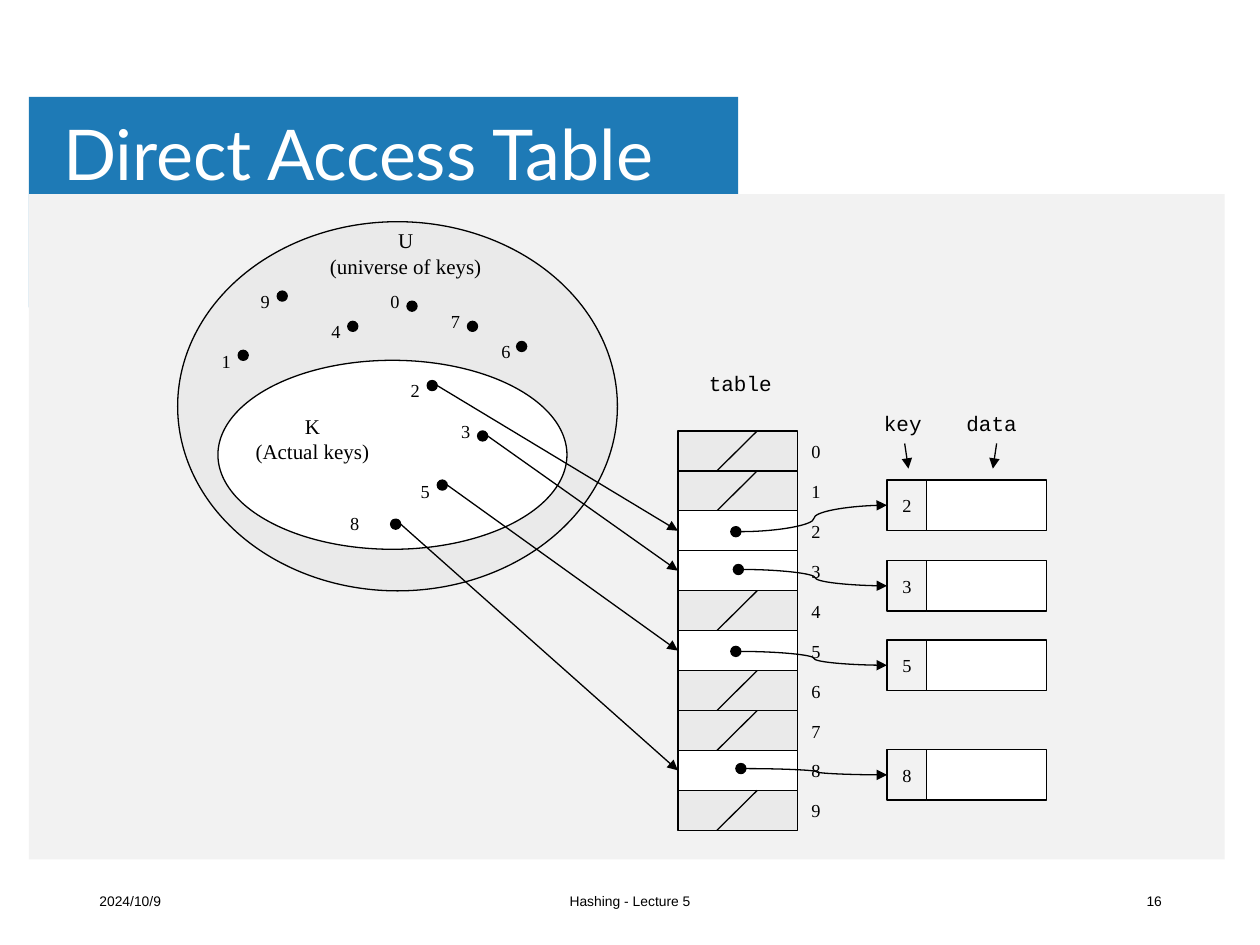
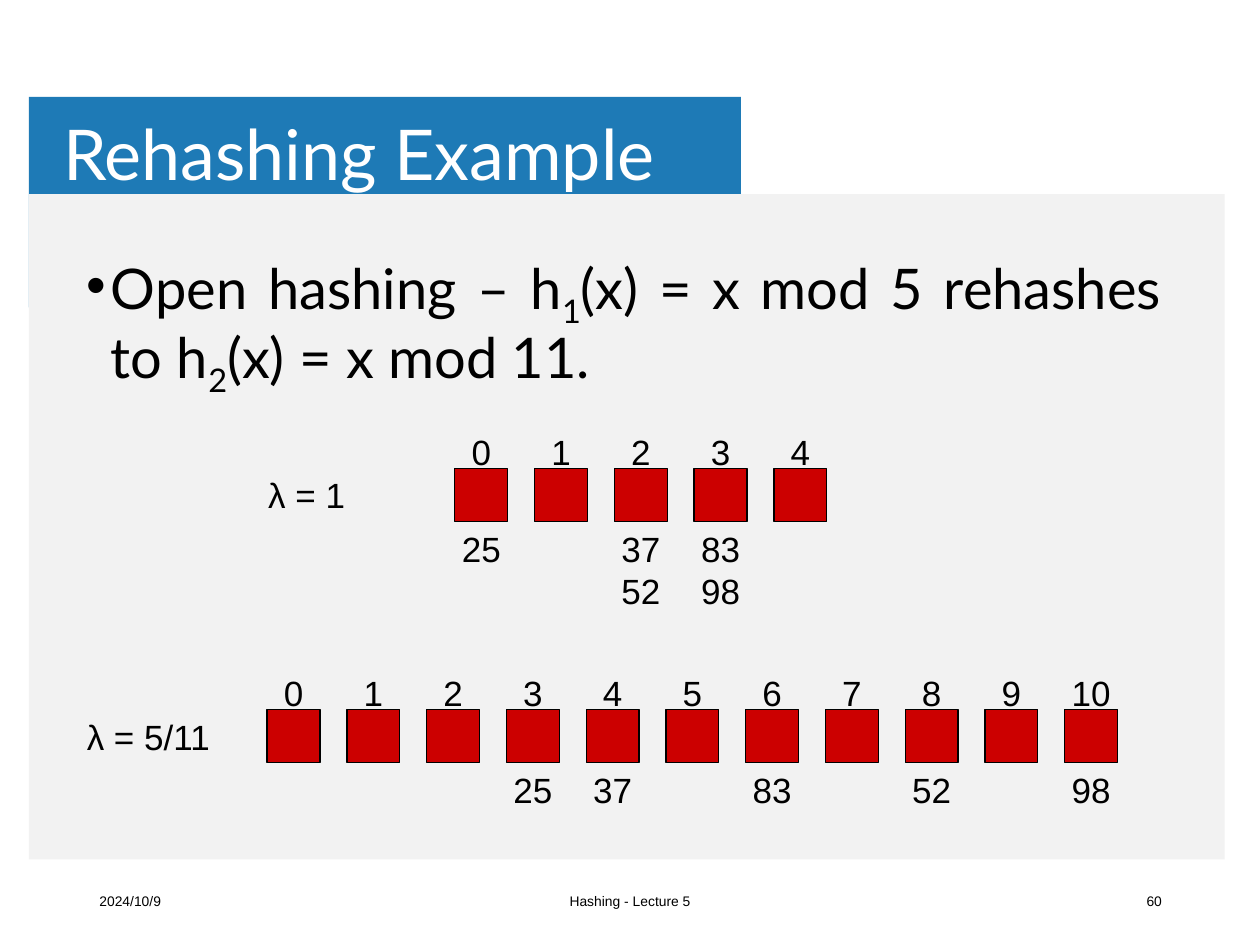
import pptx
import pptx.util
import pptx.dml.color
import pptx.enum.shapes
import pptx.enum.text
import pptx.oxml
import pptx.oxml.ns

SHAPE = pptx.enum.shapes.MSO_SHAPE
CXN = pptx.enum.shapes.MSO_CONNECTOR
ALIGN = pptx.enum.text.PP_ALIGN
ANCHOR = pptx.enum.text.MSO_ANCHOR
COLS, ROWS = 100, 75
COLORS = {"band": "1E7AB6", "panel": "F2F2F2", "ink": "000000",
          "white": "FFFFFF", "gray": "EAEAEA", "red": "CC0000"}
FONTS = {
    "title": {"name": "Lato", "size": pptx.util.Pt(40), "bold": False},
    "body": {"name": "Lato", "size": pptx.util.Pt(32)},
    "footer": {"name": "Arial", "size": pptx.util.Pt(7.9)},
    "number": {"name": "Arial", "size": pptx.util.Pt(20)},
    "set": {"name": "Times New Roman", "size": pptx.util.Pt(12)},
    "key": {"name": "Times New Roman", "size": pptx.util.Pt(10.5)},
    "code": {"name": "Courier New", "size": pptx.util.Pt(12)},
}


def set_all(obj, values):
    for name, value in values.items():
        setattr(obj, name, value)


def rgb(color):
    return pptx.dml.color.RGBColor.from_string(COLORS[color])


def add_xml(parent, tag, **attrs):
    el = pptx.oxml.parse_xml(f'<a:{tag} {pptx.oxml.ns.nsdecls("a")}/>')
    for name, value in attrs.items():
        el.set(name, str(value))
    parent.append(el)
    return el


class Deck:
    def __init__(self):
        self.prs = pptx.Presentation()
        self.prs.slide_width = pptx.util.Inches(10)
        self.prs.slide_height = pptx.util.Inches(7.5)
        self.s = None

    def x(self, cols):
        return round(cols * self.prs.slide_width / COLS)

    def y(self, rows):
        return round(rows * self.prs.slide_height / ROWS)

    def box(self, left, top, width, height):
        return self.x(left), self.y(top), self.x(width), self.y(height)

    def place(self, sp, *box):
        set_all(sp, dict(zip(("left", "top", "width", "height"), self.box(*box))))

    def run(self, p, text, font, color="ink"):
        r = p.add_run()
        r.text = text
        set_all(r.font, FONTS[font])
        r.font.color.rgb = rgb(color)
        return r

    def slide(self, layout, title, band_width, number):
        self.s = self.prs.slides.add_slide(self.prs.slide_layouts[layout])
        panel = self.shape((2.3, 15.4, 94.9, 52.8), "panel", line=False)
        band = self.shape((2.3, 7.7, band_width, 16.7), "band", line=False)
        for sp in (panel, band):
            self.s.shapes._spTree.insert(2, sp._element)
        sp = self.s.shapes.title
        self.place(sp, 4.3, 7.6, 80.3, 9.8)
        tf = sp.text_frame
        side, edge = self.x(0.7), self.y(0.4)
        set_all(tf, {"auto_size": pptx.enum.text.MSO_AUTO_SIZE.NONE,
                     "vertical_anchor": ANCHOR.MIDDLE,
                     "margin_left": side, "margin_right": side,
                     "margin_top": edge, "margin_bottom": edge})
        set_all(tf.paragraphs[0], {"alignment": ALIGN.LEFT, "line_spacing": 0.9})
        self.run(tf.paragraphs[0], title, "title", "white")
        for left, width, text, align in ((6.9, 22.5, "2024/10/9", ALIGN.LEFT),
                                         (33.1, 33.8, "Hashing - Lecture 5", ALIGN.CENTER),
                                         (70.7, 22.5, number, ALIGN.RIGHT)):
            self.text((left, 69.5, width, 4), [text], "footer", align)

    def body(self, box, parts):
        sp = self.s.placeholders[1]
        self.place(sp, *box)
        sp.text_frame.auto_size = pptx.enum.text.MSO_AUTO_SIZE.NONE
        p = sp.text_frame.paragraphs[0]
        set_all(p, {"alignment": ALIGN.JUSTIFY, "line_spacing": 0.9,
                    "space_before": pptx.util.Pt(0)})
        pPr = p._p.get_or_add_pPr()
        pPr.set("marL", str(self.x(1.9)))
        pPr.set("indent", str(-self.x(1.9)))
        add_xml(pPr, "buChar", char="•")
        for text, baseline in parts:
            r = self.run(p, text, "body")
            r._r.get_or_add_rPr().set("baseline", str(baseline))

    def text(self, box, lines, font, align=ALIGN.CENTER, anchor=ANCHOR.MIDDLE):
        tf = self.s.shapes.add_textbox(*self.box(*box)).text_frame
        set_all(tf, {"word_wrap": True, "vertical_anchor": anchor})
        for i, line in enumerate(lines):
            p = tf.add_paragraph() if i else tf.paragraphs[0]
            p.alignment = align
            self.run(p, line, font)
        return tf

    def tabbed(self, box, rows, stops):
        lines = ["".join(f"\t{value}" for value in row) for row in rows]
        tf = self.text(box, lines, "number", ALIGN.LEFT, ANCHOR.TOP)
        set_all(tf, {"margin_left": 0, "margin_right": 0})
        for p in tf.paragraphs:
            tabs = add_xml(p._p.get_or_add_pPr(), "tabLst")
            for stop in stops:
                add_xml(tabs, "tab", pos=self.x(stop - box[0]), algn="ctr")

    def shape(self, box, fill=None, kind=SHAPE.RECTANGLE, line=True, text=None):
        sp = self.s.shapes.add_shape(kind, *self.box(*box))
        sp.shadow.inherit = False
        if fill:
            sp.fill.solid()
            sp.fill.fore_color.rgb = rgb(fill)
        else:
            sp.fill.background()
        if line:
            sp.line.color.rgb = rgb("ink")
            sp.line.width = pptx.util.Pt(0.75)
        else:
            sp.line.fill.background()
        if text:
            set_all(sp.text_frame, {"word_wrap": False, "vertical_anchor": ANCHOR.MIDDLE})
            p = sp.text_frame.paragraphs[0]
            p.alignment = ALIGN.CENTER
            self.run(p, text, "key")
        return sp

    def dot(self, left, top):
        self.shape((left, top, 0.8, 0.8), "ink", SHAPE.OVAL)
        return left + 0.8, top + 0.4

    def line(self, start, end, arrow=True, kind=CXN.STRAIGHT, target=None):
        c = self.s.shapes.add_connector(kind, self.x(start[0]), self.y(start[1]),
                                        self.x(end[0]), self.y(end[1]))
        if target is not None:
            c.end_connect(target, 1)
        c.line.color.rgb = rgb("ink")
        c.line.width = pptx.util.Pt(0.75)
        if arrow:
            add_xml(c.line._get_or_add_ln(), "tailEnd", type="triangle")
        add_xml(c._element.spPr, "effectLst")

    def buckets(self, left, top, count, value_start, values):
        pitch, side = 6.33, 4.2
        centers = [left + i * pitch + side / 2 for i in range(count)]
        for center in centers:
            self.shape((center - side / 2, top, side, side), "red")
        width = count * pitch
        self.tabbed((left - 0.4, top - 3.5, width, 4.4), [range(count)], centers)
        self.tabbed((left + value_start * pitch - 0.4, top + side,
                     width - value_start * pitch, 1.1 + 3.3 * len(values)),
                    values, centers[value_start:])


def direct_access_table(d):
    d.slide(5, "Direct Access Table", 56.3, "16")
    d.shape((14.1, 17.6, 34.9, 29.3), "gray", SHAPE.OVAL)
    d.text((23.3, 17.6, 17.8, 5), ["U", "(universe of keys)"], "set")
    d.shape((17.3, 28.6, 27.7, 15), "white", SHAPE.OVAL)
    d.text((17.8, 32.3, 14, 5), ["K", "(Actual keys)"], "set")

    keys = {0: (32.3, 23.9, 29.6, 22.5), 1: (18.9, 27.8, 16.2, 27.3),
            2: (33.9, 30.2, 31.2, 29.6), 3: (37.9, 34.2, 35.2, 32.8),
            4: (27.6, 25.5, 24.9, 24.9), 5: (34.7, 38.1, 32, 37.6),
            6: (41, 27.1, 38.4, 26.5), 7: (37.1, 25.5, 34.4, 24.1),
            8: (31, 41.2, 26.4, 40.1), 9: (22, 23.1, 19.3, 22.5)}
    records = {2: (38.1, 58, 41.8), 3: (44.5, 58.2, 44.8),
               5: (50.8, 58, 51.3), 8: (59.5, 58.4, 60.6)}
    slot_left, slot_top, slot_width, slot_height = 53.8, 34.2, 9.5, 3.17
    for key, (dot_left, dot_top, label_left, label_top) in keys.items():
        d.text((label_left, label_top, 3.5, 2.8), [str(key)], "key")
        start = d.dot(dot_left, dot_top)
        top = slot_top + key * slot_height
        slot = d.shape((slot_left, top, slot_width, slot_height),
                       "white" if key in records else "gray")
        d.text((63, top + 0.2, 3.5, 2.8), [str(key)], "key")
        if key in records:
            d.line(start, (slot_left, top + slot_height / 2), target=slot)
        else:
            d.line((56.9, top + slot_height), (60.1, top), arrow=False)

    record_left, key_width = 70.4, 3.15
    for key, (top, dot_left, dot_top) in records.items():
        d.shape((record_left, top, key_width, 4), text=str(key))
        d.shape((record_left + key_width, top, 9.5, 4), "white")
        d.line(d.dot(dot_left, dot_top), (record_left, top + 2), kind=CXN.CURVE)

    for left, top, width, word in ((74.9, 32.1, 7.6, "data"), (68.5, 32.1, 6.3, "key"),
                                   (54.3, 28.9, 8.9, "table")):
        d.text((left, top, width, 3), [word], "code")
    for start, end in ((71.8, 72.1), (79.1, 78.8)):
        d.line((start, 35.2), (end, 37.2))


def rehashing_example(d):
    d.slide(1, "Rehashing Example", 56.5, "60")
    d.body((5.9, 19.7, 87.3, 10.7),
           [("Open hashing – h", 0), ("1", -25000), ("(x) = x mod 5 rehashes to h", 0),
            ("2", -25000), ("(x) = x mod 11.", 0)])
    d.buckets(36.1, 37.2, 5, 0, [["25", "", "37", "83"], ["", "", "52", "98"]])
    d.buckets(21.2, 56.3, 11, 3, [["25", "37", "", "83", "", "52", "", "98"]])
    for left, top, width, load in ((20.3, 37.1, 11.3, "λ = 1"), (5.9, 56.3, 15.9, "λ = 5/11")):
        d.text((left, top, width, 4.4), [load], "number", ALIGN.LEFT, ANCHOR.TOP)


def main():
    d = Deck()
    direct_access_table(d)
    rehashing_example(d)
    d.prs.save("out.pptx")


if __name__ == "__main__":
    main()
